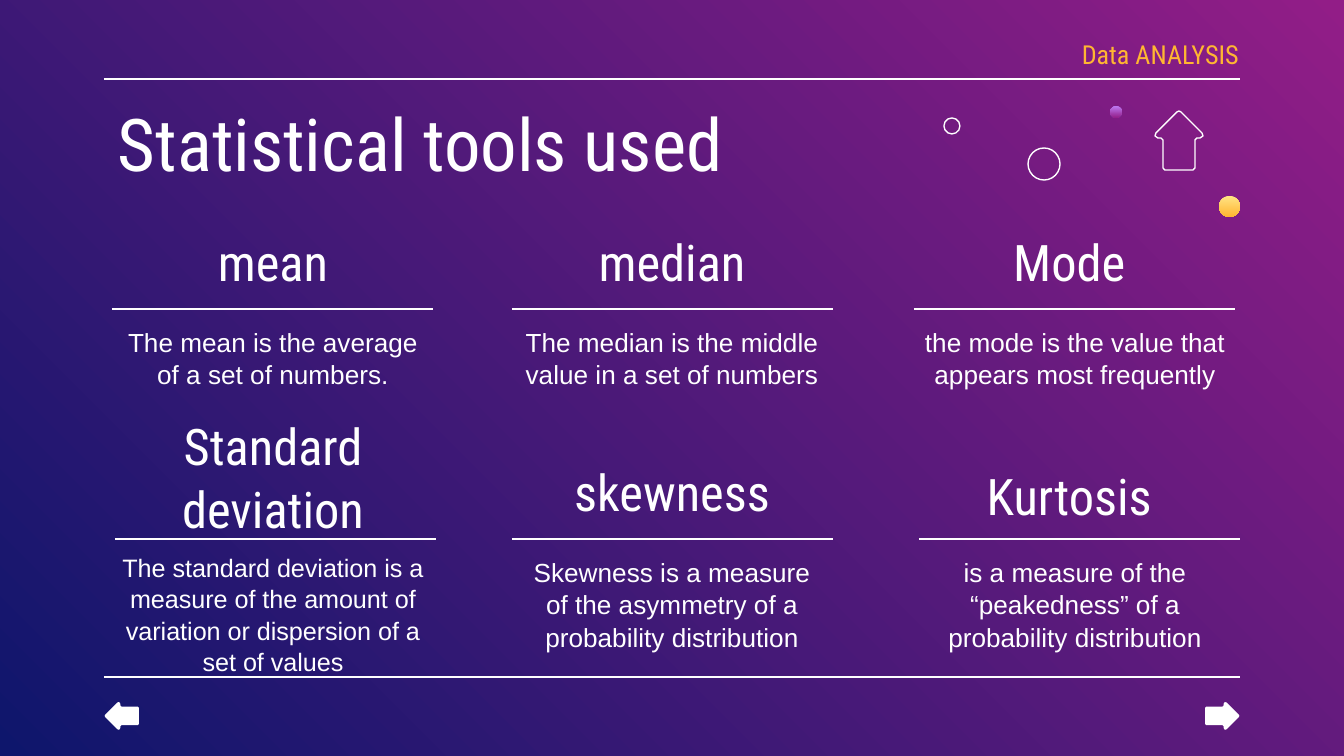
from dataclasses import dataclass
from typing import Optional

from lxml.etree import SubElement
from pptx import Presentation
from pptx.dml.color import RGBColor
from pptx.dml.fill import FillFormat
from pptx.enum.shapes import MSO_CONNECTOR as Connector, MSO_SHAPE as Preset
from pptx.enum.text import MSO_ANCHOR as Anchor, MSO_AUTO_SIZE as AutoSize, PP_ALIGN as Align
from pptx.oxml.ns import qn
from pptx.shapes.base import BaseShape
from pptx.slide import Slide
from pptx.util import Emu, Pt

EMU_PER_PX = 914400 / 134.4


@dataclass(frozen=True)
class Theme:
    white: str = "FFFFFF"
    amber: str = "FFB632"
    background: tuple[str, str] = ("921D87", "0E166C")
    violet_dot: tuple[str, str] = ("BE7AF3", "921D87")
    yellow_dot: tuple[str, str] = ("FFE485", "FFB632")
    heading_font: str = "Roboto Condensed"
    body_font: str = "Arial"
    title_size: float = 39
    heading_size: float = 27
    body_size: float = 14
    dense_size: float = 13.5
    line_width: float = 0.75
    line_spacing: float = 1.04


THEME = Theme()


@dataclass(frozen=True)
class Box:
    left: int
    top: int
    width: int
    height: int


@dataclass(frozen=True)
class TextStyle:
    font: str
    size: float
    color: str = THEME.white
    align: Align = Align.CENTER
    anchor: Anchor = Anchor.TOP
    right_inset: int = 13


@dataclass(frozen=True)
class Tool:
    name: str
    description: str
    left: int
    heading_top: int
    rule_left: int
    rule_y: int
    body_top: int
    body_size: float = THEME.body_size


@dataclass(frozen=True)
class Dot:
    left: int
    top: int
    size: int
    gradient: Optional[tuple[str, str]] = None


@dataclass(frozen=True)
class Arrow:
    center_x: int
    center_y: int
    quarter_turns: int
    scale: float
    filled: bool


TOOL_WIDTH = 328
RULE_WIDTH = 321
TOOLS = [
    Tool("mean", "The mean is the average of a set of numbers.", 109, 216, 112, 309, 312),
    Tool("median", "The median is the middle value in a set of numbers", 508, 216, 512, 309, 312),
    Tool("Mode ", "the mode is the value that appears most frequently", 911, 216, 914, 309, 312),
    Tool("Standard deviation",
         "The standard deviation is a measure of the amount of variation or dispersion of a set of values",
         109, 400, 115, 539, 538, THEME.dense_size),
    Tool("skewness", "Skewness is a measure of the asymmetry of a probability distribution",
         508, 446, 512, 539, 542),
    Tool("Kurtosis ", "is a measure of the “peakedness” of a probability distribution",
         911, 450, 919, 539, 542),
]
DOTS = [
    Dot(1028, 148, 32),
    Dot(944, 118, 16),
    Dot(1110, 106, 12, THEME.violet_dot),
    Dot(1219, 196, 21, THEME.yellow_dot),
]
ARROWS = [
    Arrow(1179, 141, 0, 1, False),
    Arrow(1222, 716, 1, 0.58, True),
    Arrow(122, 716, 3, 0.58, True),
]
ARROW_HALF = [(0, -30), (2, -29), (23, -8), (24, -5), (21, -3), (18, -3), (16, -1), (16, 27), (14, 29)]


def px(length: float) -> Emu:
    return Emu(round(length * EMU_PER_PX))


def rgb(color: str) -> RGBColor:
    return RGBColor.from_string(color)


def set_gradient(fill: FillFormat, colors: tuple[str, str], angle: int) -> None:
    fill.gradient()
    fill.gradient_angle = angle
    for stop, color in zip(fill.gradient_stops, colors):
        stop.color.rgb = rgb(color)


def write_text(shape: BaseShape, text: str, style: TextStyle) -> None:
    frame = shape.text_frame
    frame.word_wrap = True
    frame.auto_size = AutoSize.NONE
    frame.vertical_anchor = style.anchor
    frame.margin_left = frame.margin_top = frame.margin_bottom = px(13)
    frame.margin_right = px(style.right_inset)
    paragraph = frame.paragraphs[0]
    paragraph.alignment = style.align
    paragraph.line_spacing = THEME.line_spacing
    run = paragraph.add_run()
    run.text = text
    run.font.name = style.font
    run.font.size = Pt(style.size)
    run.font.color.rgb = rgb(style.color)


def add_text(slide: Slide, box: Box, text: str, style: TextStyle) -> None:
    shape = slide.shapes.add_textbox(px(box.left), px(box.top), px(box.width), px(box.height))
    write_text(shape, text, style)


def add_title(slide: Slide, box: Box, text: str, style: TextStyle) -> None:
    title = slide.shapes.title
    title.left, title.top = px(box.left), px(box.top)
    title.width, title.height = px(box.width), px(box.height)
    write_text(title, text, style)


def add_rule(slide: Slide, left: int, y: int, width: int) -> None:
    rule = slide.shapes.add_connector(Connector.STRAIGHT, px(left), px(y), px(left + width), px(y))
    rule.line.color.rgb = rgb(THEME.white)
    rule.line.width = Pt(THEME.line_width)
    SubElement(rule._element.spPr, qn("a:effectLst"))


def outline_shape(shape: BaseShape) -> None:
    shape.fill.background()
    shape.line.color.rgb = rgb(THEME.white)
    shape.line.width = Pt(THEME.line_width)


def add_tool(slide: Slide, tool: Tool) -> None:
    add_text(slide, Box(tool.left, tool.heading_top, TOOL_WIDTH, 65), tool.name,
             TextStyle(THEME.heading_font, THEME.heading_size))
    add_text(slide, Box(tool.left, tool.body_top, TOOL_WIDTH, 110), tool.description,
             TextStyle(THEME.body_font, tool.body_size))
    add_rule(slide, tool.rule_left, tool.rule_y, RULE_WIDTH)


def add_dot(slide: Slide, dot: Dot) -> None:
    shape = slide.shapes.add_shape(Preset.OVAL, px(dot.left), px(dot.top), px(dot.size), px(dot.size))
    shape.shadow.inherit = False
    if dot.gradient:
        set_gradient(shape.fill, dot.gradient, 270)
        shape.line.fill.background()
    else:
        outline_shape(shape)


def add_arrow(slide: Slide, arrow: Arrow) -> None:
    points = ARROW_HALF + [(-x, y) for x, y in reversed(ARROW_HALF[1:])]
    for _ in range(arrow.quarter_turns):
        points = [(-y, x) for x, y in points]
    corners = [(px(arrow.center_x + x * arrow.scale), px(arrow.center_y + y * arrow.scale)) for x, y in points]
    builder = slide.shapes.build_freeform(*corners[0], scale=1.0)
    builder.add_line_segments(corners[1:], close=True)
    shape = builder.convert_to_shape()
    shape.shadow.inherit = False
    if arrow.filled:
        shape.fill.solid()
        shape.fill.fore_color.rgb = rgb(THEME.white)
        shape.line.fill.background()
    else:
        outline_shape(shape)


def main() -> None:
    presentation = Presentation()
    presentation.slide_width, presentation.slide_height = px(1344), px(756)
    slide = presentation.slides.add_slide(presentation.slide_layouts[5])
    set_gradient(slide.background.fill, THEME.background, 225)
    for y in (79, 677):
        add_rule(slide, 104, y, 1136)
    add_title(slide, Box(105, 82, 1134, 89), "Statistical tools used",
              TextStyle(THEME.heading_font, THEME.title_size, align=Align.LEFT))
    add_text(slide, Box(1037, 31, 202, 44), "Data ANALYSIS",
             TextStyle(THEME.heading_font, THEME.body_size, THEME.amber, Align.RIGHT, Anchor.MIDDLE, 0))
    for tool in TOOLS:
        add_tool(slide, tool)
    for dot in DOTS:
        add_dot(slide, dot)
    for arrow in ARROWS:
        add_arrow(slide, arrow)
    presentation.save("out.pptx")


if __name__ == "__main__":
    main()
